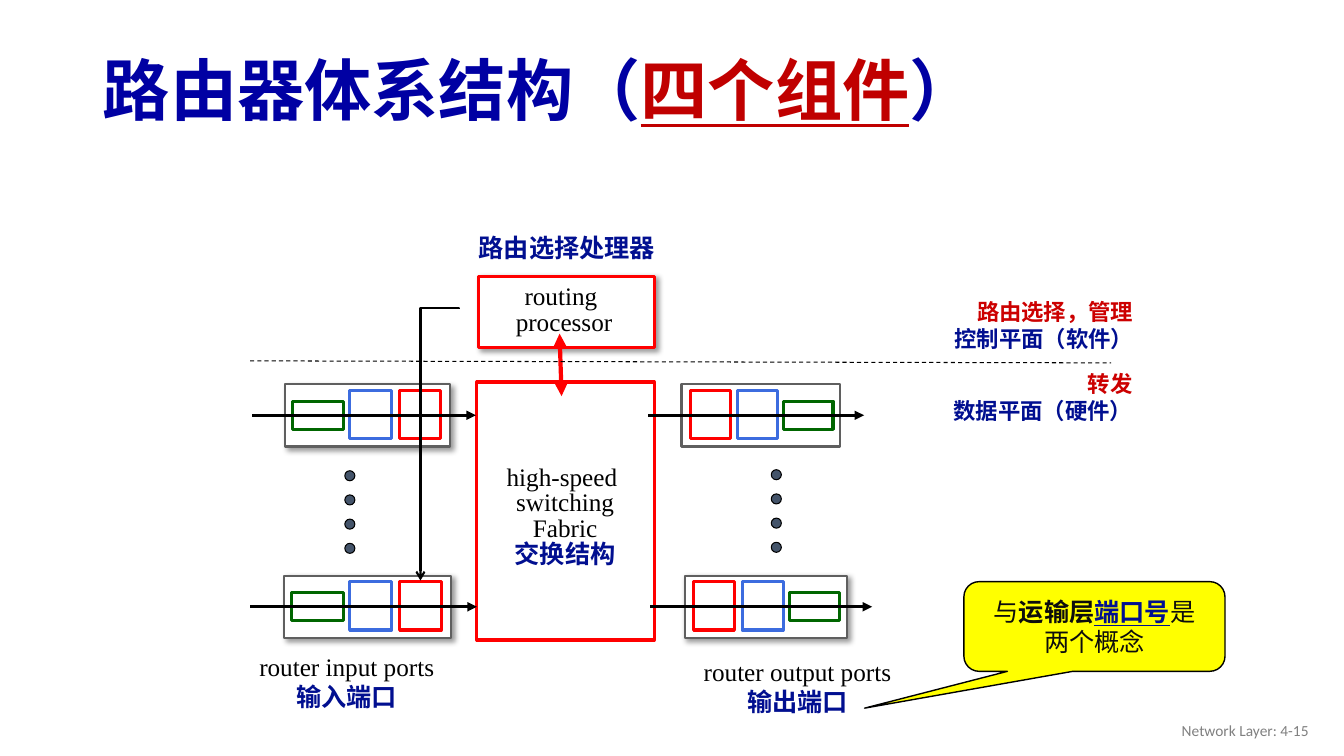
from dataclasses import dataclass
from typing import Optional

from pptx import Presentation
from pptx.dml.color import RGBColor
from pptx.enum.dml import MSO_LINE
from pptx.enum.shapes import MSO_CONNECTOR, MSO_SHAPE
from pptx.enum.text import MSO_ANCHOR, MSO_AUTO_SIZE, PP_ALIGN
from pptx.oxml import parse_xml
from pptx.oxml.ns import nsdecls, qn
from pptx.util import Inches, Pt


@dataclass(frozen=True)
class Theme:
    title: str = "0000A3"
    title_accent: str = "C00000"
    navy: str = "010F90"
    crimson: str = "CC0000"
    red: str = "FF0000"
    green: str = "006600"
    blue: str = "3C6CDF"
    frame: str = "5F5F5F"
    dot: str = "44546A"
    yellow: str = "FFFF00"
    ink: str = "0D0D0D"
    footer: str = "808080"
    black: str = "000000"
    white: str = "FFFFFF"
    title_size: float = 48
    label_size: float = 18
    plane_size: float = 16
    footer_size: float = 11
    title_font: str = "Arial"
    label_font: str = "Times New Roman"
    footer_font: str = "Calibri"


THEME = Theme()


@dataclass(frozen=True)
class Run:
    text: str
    color: str = THEME.black
    bold: bool = False
    underline: bool = False
    size: float = THEME.label_size
    font: str = THEME.label_font


@dataclass(frozen=True)
class Label:
    box: tuple[float, float, float, float]
    lines: list[list[Run]]
    align: PP_ALIGN = PP_ALIGN.CENTER
    spacing: Optional[float] = None
    wrap: bool = False
    anchor: MSO_ANCHOR = MSO_ANCHOR.TOP


@dataclass(frozen=True)
class Port:
    left: float
    top: float
    width: float
    arrow_start: float
    arrow_end: float
    is_output: bool = False
    shadow: bool = True


@dataclass(frozen=True)
class Stage:
    """A box inside a port; left and width are shares of the port width."""
    left: float
    width: float
    top: float
    height: float
    color: str


STAGES = [
    Stage(0.043, 0.313, 0.17, 0.28, THEME.green),
    Stage(0.393, 0.252, 0.06, 0.48, THEME.blue),
    Stage(0.693, 0.252, 0.06, 0.48, THEME.red),
]
PORT_HEIGHT = 0.62
PORTS = [
    Port(2.83, 3.81, 1.63, 2.5, 4.72),
    Port(2.82, 5.71, 1.65, 2.48, 4.73),
    Port(6.76, 3.81, 1.57, 6.43, 8.57, is_output=True, shadow=False),
    Port(6.79, 5.71, 1.61, 6.45, 8.65, is_output=True),
]
DOT_COLUMNS = [(3.42, 4.67), (7.65, 4.66)]
DOT_SIZE, DOT_PITCH, DOT_COUNT = 0.1, 0.24, 4


def navy(text: str, size: float = THEME.label_size) -> Run:
    return Run(text, THEME.navy, bold=True, size=size)


def plane_lines(role: str, plane: str) -> list[list[Run]]:
    return [[Run(role, THEME.crimson, bold=True, size=THEME.plane_size)],
            [navy(plane, THEME.plane_size)]]


FABRIC_LABEL = Label((4.92, 4.57, 1.37, 1.13), [
    [Run("high-speed ")], [Run("switching")], [Run("Fabric")], [navy("交换结构")]], spacing=0.85)
PROCESSOR_LABEL = Label((5.01, 2.78, 1.17, 0.62),
                        [[Run("routing ")], [Run("processor")]], spacing=0.85)
OUTER_LABELS = [
    Label((2.46, 6.41, 1.96, 0.71), [[Run("router input ports")], [navy("输入端口")]]),
    Label((6.87, 6.46, 2.08, 0.71), [[Run("router output ports")], [navy("输出端口")]]),
    Label((8.94, 3.62, 2.39, 0.64), plane_lines("转发", "数据平面（硬件）"),
          PP_ALIGN.RIGHT, wrap=True),
    Label((8.19, 2.91, 3.15, 0.64), plane_lines("路由选择，管理", "控制平面（软件）"),
          PP_ALIGN.RIGHT, wrap=True),
    Label((10.08, 7.05, 3, 0.4),
          [[Run("Network Layer: 4-15", THEME.footer, size=THEME.footer_size,
                font=THEME.footer_font)]],
          PP_ALIGN.RIGHT, wrap=True, anchor=MSO_ANCHOR.MIDDLE),
    Label((4.65, 2.26, 1.97, 0.4), [[navy("路由选择处理器")]], PP_ALIGN.LEFT),
]
CALLOUT = Label((9.56, 5.77, 2.59, 0.89), [
    [Run("与", THEME.ink), Run("运输层", THEME.ink, bold=True),
     Run("端口号", THEME.navy, bold=True, underline=True), Run("是", THEME.ink)],
    [Run("两个概念", THEME.ink)]], wrap=True, anchor=MSO_ANCHOR.MIDDLE)
TITLE = Label((0.92, 0.44, 11.5, 0.98), [[
    Run(text, color, True, underline, THEME.title_size, THEME.title_font)
    for text, color, underline in [("路由器体系结构（", THEME.title, False),
                                   ("四个组件", THEME.title_accent, True),
                                   ("）", THEME.title, False)]]],
    PP_ALIGN.LEFT, 0.9, True, MSO_ANCHOR.MIDDLE)


def write(frame, label: Label) -> None:
    frame.auto_size = MSO_AUTO_SIZE.NONE
    frame.word_wrap = label.wrap
    frame.vertical_anchor = label.anchor
    for index, line in enumerate(label.lines):
        paragraph = frame.add_paragraph() if index else frame.paragraphs[0]
        paragraph.alignment = label.align
        if label.spacing:
            paragraph.line_spacing = label.spacing
        for item in line:
            run = paragraph.add_run()
            run.text = item.text
            run.font.name = item.font
            run.font.size = Pt(item.size)
            run.font.bold = item.bold
            run.font.underline = item.underline
            run.font.color.rgb = RGBColor.from_string(item.color)


def add_label(slide, label: Label) -> None:
    write(slide.shapes.add_textbox(*map(Inches, label.box)).text_frame, label)


def add_box(slide, box, line: str, weight: float, fill: str = THEME.white,
            kind=MSO_SHAPE.RECTANGLE, shadow: bool = False):
    shape = slide.shapes.add_shape(kind, *map(Inches, box))
    shape.fill.solid()
    shape.fill.fore_color.rgb = RGBColor.from_string(fill)
    shape.line.color.rgb = RGBColor.from_string(line)
    shape.line.width = Pt(weight)
    shape.shadow.inherit = False
    if shadow:
        shape._element.spPr.find(qn("a:effectLst")).append(parse_xml(
            f'<a:outerShdw {nsdecls("a")} blurRad="{Pt(4)}" dist="{Pt(3)}" dir="2700000">'
            f'<a:srgbClr val="{THEME.black}"><a:alpha val="40000"/></a:srgbClr></a:outerShdw>'))
    return shape


def add_line(slide, start, end, color: str = THEME.black, weight: float = 2.25,
             head: str = "none", tail: str = "none", dashed: bool = False,
             kind=MSO_CONNECTOR.STRAIGHT):
    line = slide.shapes.add_connector(kind, *map(Inches, (*start, *end)))
    line.line.color.rgb = RGBColor.from_string(color)
    line.line.width = Pt(weight)
    if dashed:
        line.line.dash_style = MSO_LINE.DASH
    properties = line._element.spPr
    for tag, arrow in (("headEnd", head), ("tailEnd", tail)):
        properties.find(qn("a:ln")).append(parse_xml(f'<a:{tag} {nsdecls("a")} type="{arrow}"/>'))
    properties.append(parse_xml(f'<a:effectLst {nsdecls("a")}/>'))
    return line


def add_port(slide, port: Port) -> None:
    """Draw a port with its stages, mirrored on the output side."""
    add_box(slide, (port.left, port.top, port.width, PORT_HEIGHT), THEME.frame, 1.5,
            shadow=port.shadow)
    for stage in STAGES:
        share = 1 - stage.left - stage.width if port.is_output else stage.left
        add_box(slide, (port.left + share * port.width, port.top + stage.top,
                        stage.width * port.width, stage.height), stage.color, 2.25)
    middle = port.top + PORT_HEIGHT / 2
    add_line(slide, (port.arrow_start, middle), (port.arrow_end, middle), tail="triangle")


def add_control_arrow(slide) -> None:
    """Run left from the processor, then down to the lower input port."""
    arrow = add_line(slide, (3.01, 4.22), (5.71, 4.6), weight=1.5, tail="arrow",
                     kind=MSO_CONNECTOR.ELBOW)
    properties = arrow._element.spPr
    properties.find(qn("a:xfrm")).set("rot", "5400000")
    geometry = properties.find(qn("a:prstGeom"))
    geometry.replace(geometry.find(qn("a:avLst")), parse_xml(
        f'<a:avLst {nsdecls("a")}><a:gd name="adj1" fmla="val -100"/></a:avLst>'))


def main() -> None:
    deck = Presentation()
    deck.slide_width, deck.slide_height = Inches(13.33), Inches(7.5)
    slide = deck.slides.add_slide(deck.slide_layouts[5])
    title = slide.shapes.title
    title.left, title.top, title.width, title.height = map(Inches, TITLE.box)
    write(title.text_frame, TITLE)

    add_box(slide, (4.73, 3.79, 1.76, 2.56), THEME.red, 2.25)
    add_label(slide, FABRIC_LABEL)
    add_box(slide, (4.75, 2.74, 1.74, 0.71), THEME.red, 2.25, shadow=True)
    add_label(slide, PROCESSOR_LABEL)
    add_line(slide, (5.55, 3.31), (5.57, 3.93), THEME.red, 3, "triangle", "triangle")
    for port in PORTS:
        add_port(slide, port)
    for left, top in DOT_COLUMNS:
        for row in range(DOT_COUNT):
            add_box(slide, (left, top + row * DOT_PITCH, DOT_SIZE, DOT_SIZE), THEME.black, 0.75,
                    THEME.dot, MSO_SHAPE.OVAL)
    add_line(slide, (2.48, 3.58), (11.02, 3.6), weight=0.75, dashed=True)
    add_control_arrow(slide)
    for label in OUTER_LABELS:
        add_label(slide, label)
    callout = add_box(slide, CALLOUT.box, THEME.black, 1, THEME.yellow,
                      MSO_SHAPE.ROUNDED_RECTANGULAR_CALLOUT)
    for index, value in enumerate((-0.88, 0.91, 0.17)):
        callout.adjustments[index] = value
    write(callout.text_frame, CALLOUT)
    deck.save("out.pptx")


if __name__ == "__main__":
    main()
